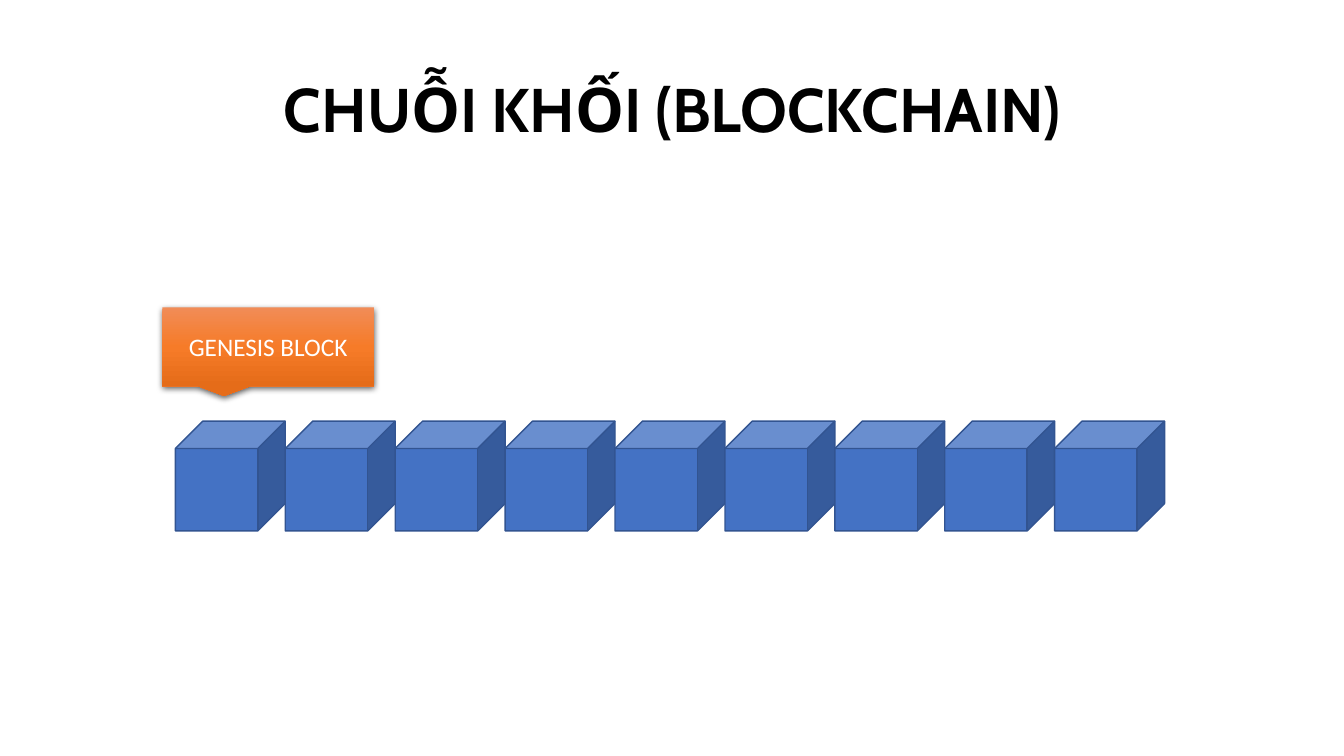
from copy import deepcopy

from lxml import etree
from pptx import Presentation, util as u
from pptx.dml.color import RGBColor
from pptx.enum import shapes, text
from pptx.oxml.ns import qn

BLACK = RGBColor(0, 0, 0)
WHITE = RGBColor(255, 255, 255)
BLUE = RGBColor(0x44, 0x72, 0xC4)
NAVY = RGBColor(0x32, 0x54, 0x91)
GLOW = [RGBColor(0xF1, 0x8C, 0x57), RGBColor(0xF6, 0x7B, 0x28), RGBColor(0xE5, 0x6C, 0x19)]
WIDE, HIGH = u.Inches(13.33), u.Inches(7.5)
CUBES = 9


def share(x, y, w, h):
    """Turn shares of the slide's size into a box of lengths."""
    return int(x * WIDE), int(y * HIGH), int(w * WIDE), int(h * HIGH)


def write(shape, words, font, size, color, bold=False):
    """Set one centred paragraph in the middle of a shape."""
    frame = shape.text_frame
    frame.text = words
    frame.word_wrap = True
    frame.auto_size = text.MSO_AUTO_SIZE.NONE
    frame.vertical_anchor = text.MSO_ANCHOR.MIDDLE
    para = frame.paragraphs[0]
    para.alignment = text.PP_ALIGN.CENTER
    para.font.name, para.font.size, para.font.bold = font, u.Pt(size), bold
    para.font.color.rgb = color
    return para


def head(slide, box):
    """Place and format the title."""
    title = slide.shapes.title
    title.left, title.top, title.width, title.height = box
    para = write(title, "CHUỖI KHỐI (BLOCKCHAIN)", "Cabin", 44, BLACK, True)
    para.line_spacing = 0.9


def chain(slide, box):
    """Fill the box with a row of touching cubes."""
    left, top, width, height = box
    step = width / CUBES
    for col in range(CUBES):
        cube = slide.shapes.add_shape(
            shapes.MSO_SHAPE.CUBE, int(left + col * step), top, int(step), height)
        cube.shadow.inherit = False
        cube.fill.solid()
        cube.fill.fore_color.rgb = BLUE
        cube.line.color.rgb = NAVY
        cube.line.width = u.Pt(1)


def blend(fill, props):
    """Apply the three-stop gradient from top to bottom."""
    fill.gradient()
    fill.gradient_angle = 270
    stops = props.find(".//" + qn("a:gsLst"))
    stops.insert(1, deepcopy(stops[0]))
    for rank, (stop, color) in enumerate(zip(fill.gradient_stops, GLOW)):
        stop.position = rank / 2
        stop.color.rgb = color


def shade(shape, props):
    """Cast a soft shadow straight down."""
    shape.shadow.inherit = False
    cast = etree.SubElement(
        props.find(qn("a:effectLst")), qn("a:outerShdw"), blurRad=str(u.Pt(4.5)),
        dist=str(u.Pt(1.5)), dir="5400000", algn="ctr", rotWithShape="0")
    tint = etree.SubElement(cast, qn("a:srgbClr"), val=str(BLACK))
    etree.SubElement(tint, qn("a:alpha"), val="63000")


def label(slide, box):
    """Draw the callout that names the first cube."""
    note = slide.shapes.add_shape(shapes.MSO_SHAPE.RECTANGULAR_CALLOUT, *box)
    props = note.element.spPr
    blend(note.fill, props)
    note.line.fill.background()
    shade(note, props)
    write(note, "GENESIS BLOCK", "Calibri", 18, WHITE)


def main():
    """Build the slide and save it."""
    deck = Presentation()
    deck.slide_width, deck.slide_height = WIDE, HIGH
    slide = deck.slides.add_slide(deck.slide_layouts[5])
    head(slide, share(0.069, 0.053, 0.863, 0.193))
    chain(slide, share(0.1305, 0.557, 0.736, 0.1453))
    label(slide, share(0.1208, 0.4067, 0.1575, 0.104))
    deck.save("out.pptx")


main()
